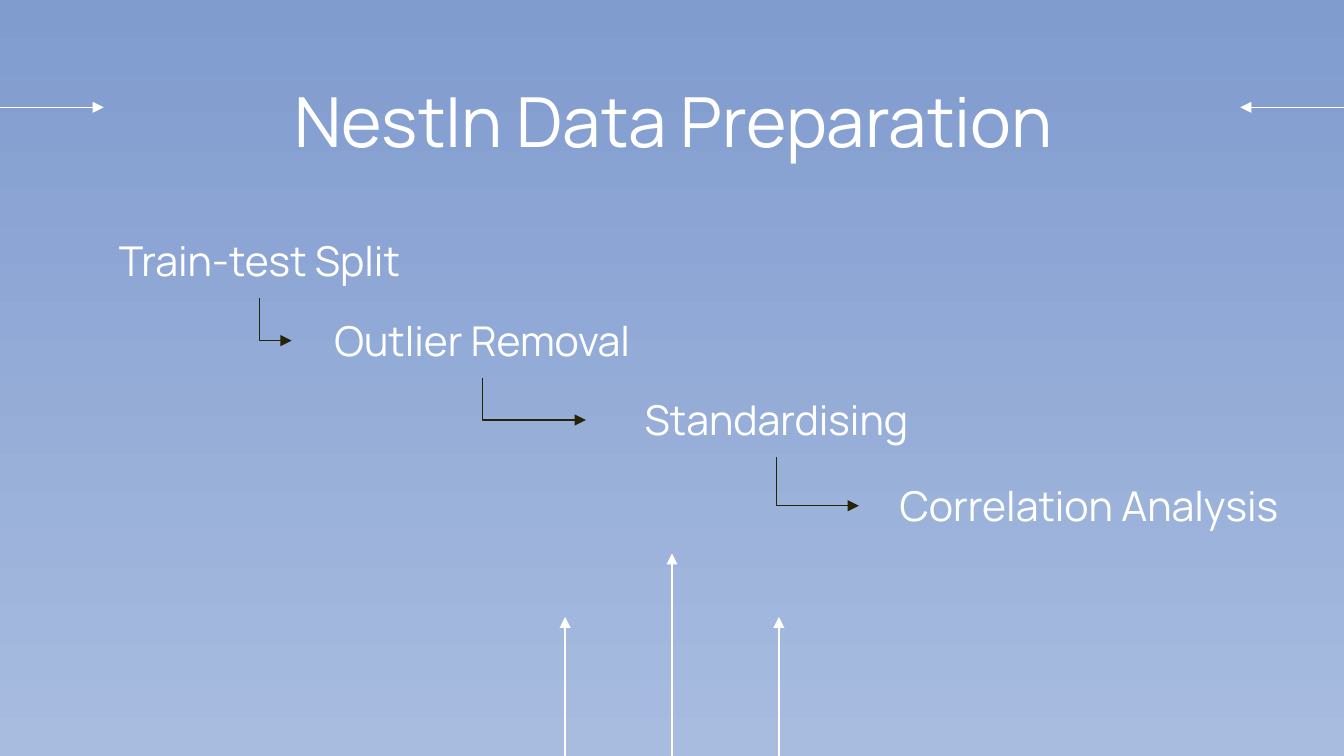
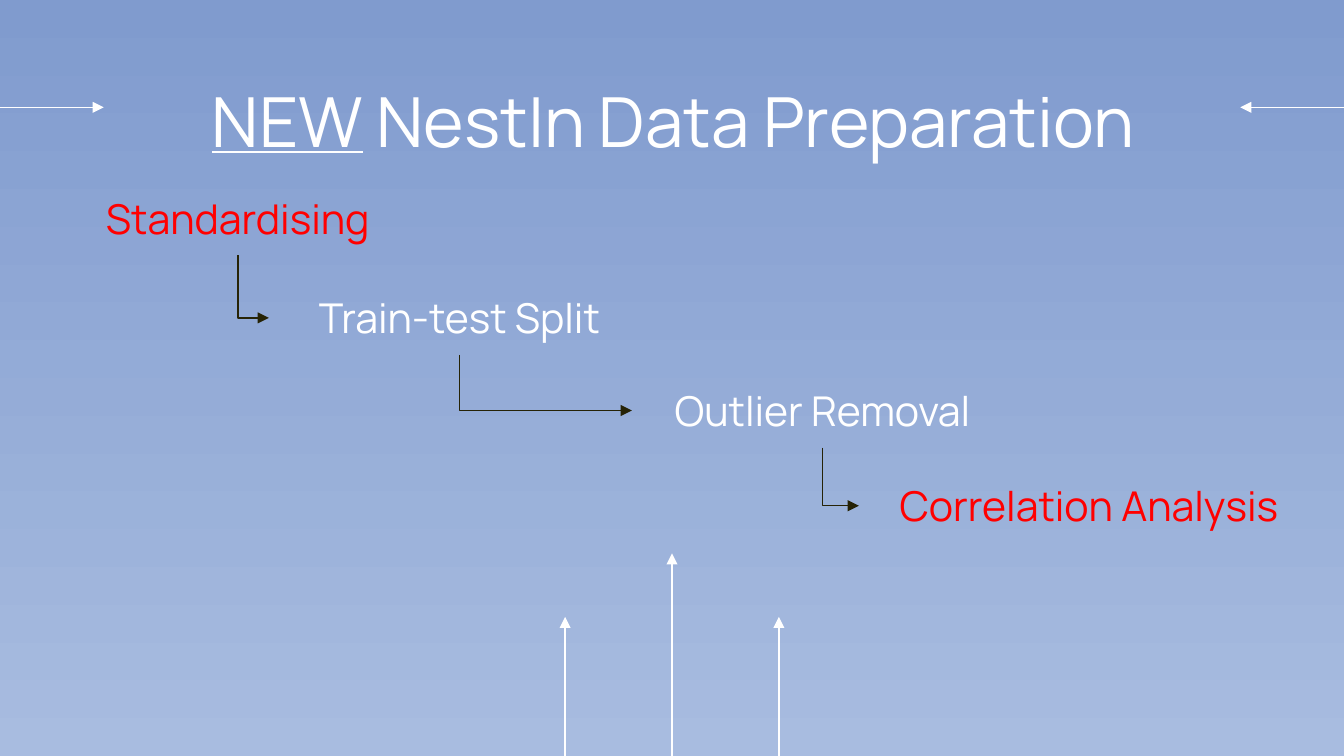
"""Build two slides that compare the old and new order of data preparation steps."""
from lxml.etree import SubElement
from pptx import Presentation
from pptx.dml.color import RGBColor
from pptx.enum.shapes import MSO_CONNECTOR as Connector
from pptx.enum.text import MSO_ANCHOR as Anchor, PP_ALIGN as Align
from pptx.oxml.ns import qn
from pptx.util import Cm, Pt

SKY_TOP = RGBColor(0x80, 0x9B, 0xCE)
SKY_BOTTOM = RGBColor(0xA8, 0xBC, 0xE0)
WHITE = RGBColor(0xFF, 0xFF, 0xFF)
RED = RGBColor(0xFF, 0x00, 0x00)
DARK = RGBColor(0x26, 0x23, 0x06)
FONT = "Manrope"

WIDTH, HEIGHT = 25.4, 14.29
TITLE_BOX = (2.01, 1.24, 21.44, 2.11)
STEP_WIDTH, WIDE_STEP, STEP_HEIGHT = 7.21, 8.7, 1.4
SIDE_ARROW_Y, SIDE_ARROW_LENGTH = 2.03, 1.96
RISING_GAP = 2.02
RISING_TIPS = (11.66, 10.46, 11.66)

# Each title is a list of (text, underlined); each step is (text, left, top, width, colour).
SLIDES = [
    {
        "title": [("NestIn Data Preparation", False)],
        "steps": [
            ("Train-test Split", 1.3, 4.24, STEP_WIDTH, WHITE),
            ("Outlier Removal", 5.51, 5.74, STEP_WIDTH, WHITE),
            ("Standardising", 11.07, 7.24, STEP_WIDTH, WHITE),
            ("Correlation Analysis", 16.23, 8.86, WIDE_STEP, WHITE),
        ],
    },
    {
        "title": [("NEW", True), (" NestIn Data Preparation", False)],
        "steps": [
            ("Standardising", 0.89, 3.43, STEP_WIDTH, RED),
            ("Train-test Split", 5.08, 5.31, STEP_WIDTH, WHITE),
            ("Outlier Removal", 11.94, 7.06, STEP_WIDTH, WHITE),
            ("Correlation Analysis", 16.23, 8.86, WIDE_STEP, RED),
        ],
    },
]


def add_text(slide, box, pieces, size, colour, anchor):
    textbox = slide.shapes.add_textbox(*map(Cm, box))
    frame = textbox.text_frame
    frame.word_wrap = True
    frame.vertical_anchor = anchor
    frame.margin_left = frame.margin_right = Cm(0.25)
    frame.margin_top = frame.margin_bottom = Cm(0.25)
    paragraph = frame.paragraphs[0]
    paragraph.alignment = Align.CENTER
    for text, underlined in pieces:
        run = paragraph.add_run()
        run.text = text
        run.font.name = FONT
        run.font.size = Pt(size)
        run.font.color.rgb = colour
        run.font.underline = underlined
    return textbox


def add_arrow(slide, kind, start, end, colour):
    arrow = slide.shapes.add_connector(kind, *map(Cm, start + end))
    arrow.line.color.rgb = colour
    arrow.line.width = Pt(0.75)
    SubElement(arrow.line._get_or_add_ln(), qn("a:tailEnd"), type="triangle")
    SubElement(arrow._element.spPr, qn("a:effectLst"))
    return arrow


def add_step_arrow(slide, source, target):
    """Run down from the bottom of one step, then right to the side of the next."""
    arrow = add_arrow(slide, Connector.ELBOW, (0, 0), (1, 1), DARK)
    arrow.begin_connect(source, 2)
    arrow.end_connect(target, 1)
    start_x, start_y = source.left + source.width // 2, source.top + source.height
    end_x, end_y = target.left, target.top + target.height // 2
    run, drop = end_x - start_x, end_y - start_y
    arrow.left = (start_x + end_x - drop) // 2
    arrow.top = (start_y + end_y - run) // 2
    arrow.width, arrow.height = drop, run
    properties = arrow._element.spPr
    properties.find(qn("a:prstGeom")).set("prst", "bentConnector2")
    frame = properties.find(qn("a:xfrm"))
    frame.set("rot", "16200000")
    frame.set("flipH", "1")


def add_backdrop(slide):
    sky = slide.background.fill
    sky.gradient()
    sky.gradient_angle = 270
    for stop, position, colour in zip(sky.gradient_stops, (0, 1), (SKY_TOP, SKY_BOTTOM)):
        stop.position = position
        stop.color.rgb = colour
    for edge, tip in ((0, SIDE_ARROW_LENGTH), (WIDTH, WIDTH - SIDE_ARROW_LENGTH)):
        add_arrow(slide, Connector.STRAIGHT, (edge, SIDE_ARROW_Y), (tip, SIDE_ARROW_Y), WHITE)
    for place, tip in enumerate(RISING_TIPS, start=-1):
        x = WIDTH / 2 + place * RISING_GAP
        add_arrow(slide, Connector.STRAIGHT, (x, HEIGHT), (x, tip), WHITE)


def main():
    deck = Presentation()
    deck.slide_width, deck.slide_height = Cm(WIDTH), Cm(HEIGHT)
    for content in SLIDES:
        slide = deck.slides.add_slide(deck.slide_layouts[6])
        add_backdrop(slide)
        add_text(slide, TITLE_BOX, content["title"], 37, WHITE, Anchor.TOP)
        steps = [
            add_text(slide, (left, top, width, STEP_HEIGHT), [(text, False)], 22, colour, Anchor.BOTTOM)
            for text, left, top, width, colour in content["steps"]
        ]
        for source, target in zip(steps, steps[1:]):
            add_step_arrow(slide, source, target)
    deck.save("out.pptx")


if __name__ == "__main__":
    main()
